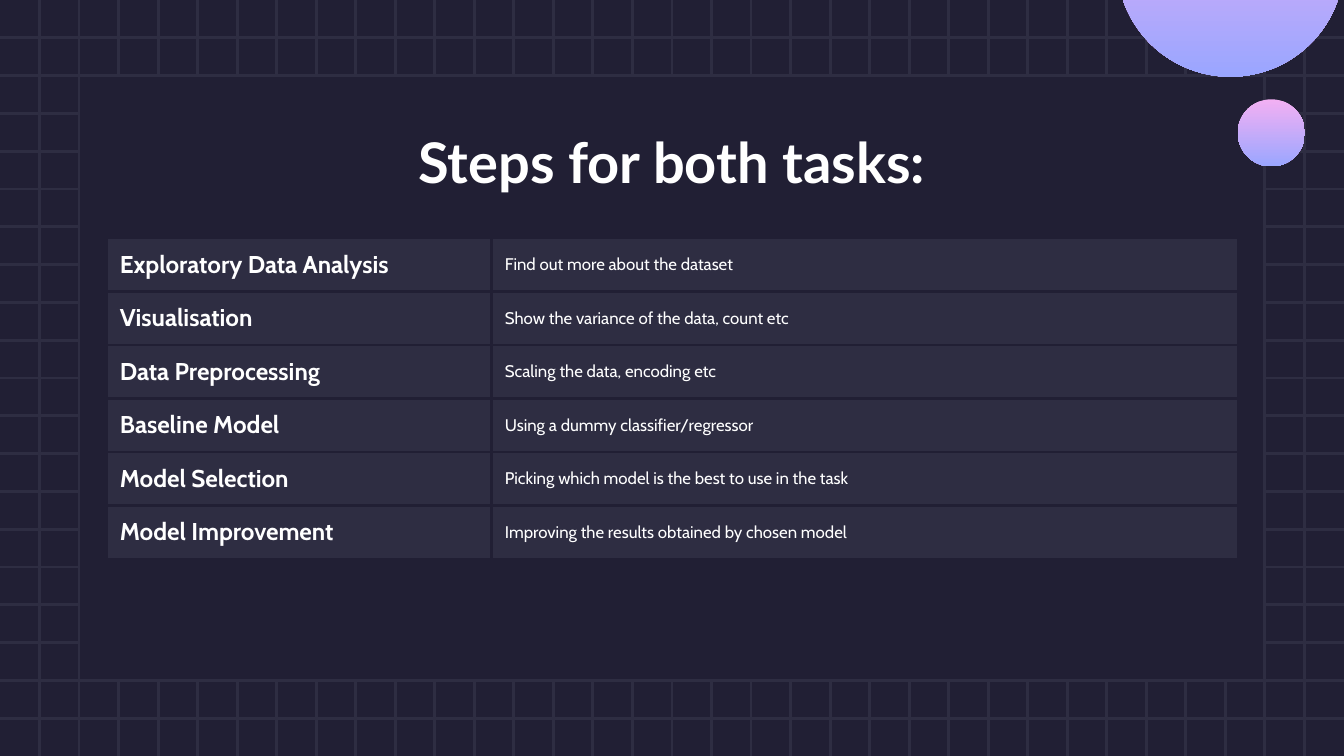
"""Build a slide listing the steps shared by both tasks."""
from lxml.etree import SubElement
from pptx import Presentation
from pptx.dml.color import RGBColor
from pptx.enum.shapes import MSO_CONNECTOR, MSO_SHAPE
from pptx.enum.text import MSO_ANCHOR, PP_ALIGN
from pptx.oxml.ns import qn
from pptx.util import Pt

TITLE = "Steps for both tasks:"
STEPS = [
    ("Exploratory Data Analysis", "Find out more about the dataset"),
    ("Visualisation", "Show the variance of the data, count etc"),
    ("Data Preprocessing", "Scaling the data, encoding etc"),
    ("Baseline Model", "Using a dummy classifier/regressor"),
    ("Model Selection", "Picking which model is the best to use in the task"),
    ("Model Improvement", "Improving the results obtained by chosen model"),
]
CIRCLES = [(598.3, -80.6, 121.7), (663.1, 53.2, 36)]

NIGHT = RGBColor(0x21, 0x1F, 0x34)
SLATE = RGBColor(0x2E, 0x2D, 0x42)
WHITE = RGBColor(0xFF, 0xFF, 0xFF)
PINK = RGBColor(0xF3, 0xB0, 0xF3)
PERIWINKLE = RGBColor(0x9A, 0xA6, 0xFF)

WIDTH, HEIGHT = 720, 405
GRID_COLUMNS, GRID_ROWS = 34, 20
LINE_WIDTH = 1.5
TABLE_LEFT, TABLE_TOP = 57, 127.4
COLUMN_WIDTHS = (206.3, 400.3)
ROW_HEIGHT = 28.7
COLUMN_FONTS = ((13, True, 0), (9, False, 16))


def add_grid_line(slide, *ends):
    line = slide.shapes.add_connector(MSO_CONNECTOR.STRAIGHT, *map(Pt, ends))
    line.line.color.rgb = SLATE
    line.line.width = Pt(LINE_WIDTH)
    SubElement(line._element.spPr, qn("a:effectLst"))


def add_grid(slide):
    column_step, row_step = WIDTH / GRID_COLUMNS, HEIGHT / GRID_ROWS
    for row in range(1, GRID_ROWS):
        add_grid_line(slide, 0, row * row_step, WIDTH, row * row_step)
    for column in range(1, GRID_COLUMNS):
        add_grid_line(slide, column * column_step, 0, column * column_step, HEIGHT)
    left, top = 2 * column_step, 2 * row_step
    panel = slide.shapes.add_shape(
        MSO_SHAPE.RECTANGLE, Pt(left), Pt(top), Pt(WIDTH - 2 * left), Pt(HEIGHT - 2 * top))
    panel.shadow.inherit = False
    panel.fill.solid()
    panel.fill.fore_color.rgb = NIGHT
    panel.line.color.rgb = SLATE
    panel.line.width = Pt(LINE_WIDTH)


def style_font(font, name, size, bold):
    font.name = name
    font.size = Pt(size)
    font.bold = bold
    font.color.rgb = WHITE


def add_title(slide):
    box = slide.shapes.add_textbox(Pt(56.7), Pt(61.2), Pt(606.6), Pt(45.4))
    frame = box.text_frame
    frame.word_wrap = True
    frame.margin_left = frame.margin_right = Pt(7.2)
    frame.margin_top = frame.margin_bottom = Pt(7.2)
    para = frame.paragraphs[0]
    para.text = TITLE
    para.alignment = PP_ALIGN.CENTER
    style_font(para.font, "Lato", 30, True)


def add_borders(cell):
    properties = cell._tc.get_or_add_tcPr()
    for index, side in enumerate(("a:lnL", "a:lnR", "a:lnT", "a:lnB")):
        border = SubElement(properties, qn(side), w=str(Pt(LINE_WIDTH)))
        fill = SubElement(border, qn("a:solidFill"))
        SubElement(fill, qn("a:srgbClr"), val=str(NIGHT))
        properties.insert(index, border)


def add_steps(slide):
    table = slide.shapes.add_table(
        len(STEPS), len(COLUMN_WIDTHS), Pt(TABLE_LEFT), Pt(TABLE_TOP),
        Pt(sum(COLUMN_WIDTHS)), Pt(ROW_HEIGHT * len(STEPS))).table
    table.first_row = table.horz_banding = False
    for column, width in zip(table.columns, COLUMN_WIDTHS):
        column.width = Pt(width)
    for row, texts in enumerate(STEPS):
        table.rows[row].height = Pt(ROW_HEIGHT)
        for column, (text, (size, bold, space)) in enumerate(zip(texts, COLUMN_FONTS)):
            cell = table.cell(row, column)
            cell.fill.solid()
            cell.fill.fore_color.rgb = SLATE
            cell.vertical_anchor = MSO_ANCHOR.MIDDLE
            cell.margin_left = cell.margin_right = Pt(7.2)
            cell.margin_top = cell.margin_bottom = 0
            para = cell.text_frame.paragraphs[0]
            para.text = text
            para.space_after = Pt(space)
            style_font(para.font, "Cabin", size, bold)
            add_borders(cell)


def add_circle(slide, left, top, size):
    circle = slide.shapes.add_shape(MSO_SHAPE.OVAL, Pt(left), Pt(top), Pt(size), Pt(size))
    circle.shadow.inherit = False
    circle.line.fill.background()
    circle.fill.gradient()
    circle.fill.gradient_angle = 270
    for stop, position, color in zip(circle.fill.gradient_stops, (0, 1), (PINK, PERIWINKLE)):
        stop.position = position
        stop.color.rgb = color


def main():
    deck = Presentation()
    deck.slide_width, deck.slide_height = Pt(WIDTH), Pt(HEIGHT)
    slide = deck.slides.add_slide(deck.slide_layouts[6])
    slide.background.fill.solid()
    slide.background.fill.fore_color.rgb = NIGHT
    add_grid(slide)
    add_title(slide)
    add_steps(slide)
    for circle in CIRCLES:
        add_circle(slide, *circle)
    deck.save("out.pptx")


if __name__ == "__main__":
    main()
